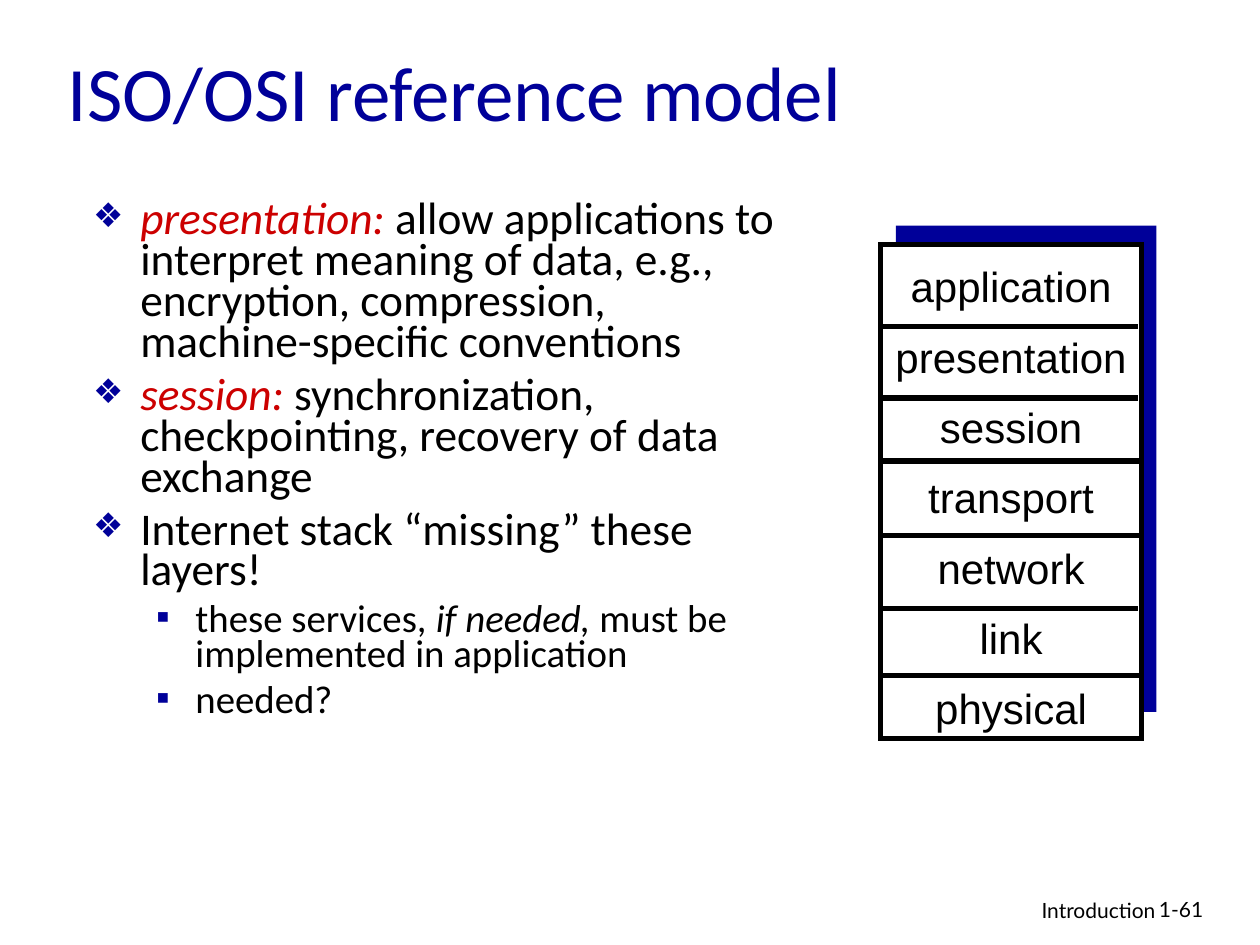
from dataclasses import dataclass

from lxml import etree
from pptx import Presentation
from pptx.dml.color import RGBColor
from pptx.enum.shapes import MSO_CONNECTOR, MSO_SHAPE
from pptx.enum.text import MSO_ANCHOR, PP_ALIGN
from pptx.oxml.ns import qn
from pptx.util import Pt

LEFT, CENTER, RIGHT = PP_ALIGN.LEFT, PP_ALIGN.CENTER, PP_ALIGN.RIGHT
TOP, MIDDLE = MSO_ANCHOR.TOP, MSO_ANCHOR.MIDDLE
RECTANGLE, STRAIGHT = MSO_SHAPE.RECTANGLE, MSO_CONNECTOR.STRAIGHT


@dataclass(frozen=True)
class Theme:
    navy: str = "000099"
    red: str = "CC0000"
    black: str = "000000"
    white: str = "FFFFFF"
    text_font: str = "Calibri"
    layer_font: str = "Arial"
    footer_font: str = "Lato"
    title_size: float = 44
    body_size: float = 25.9
    detail_size: float = 22.2
    layer_size: float = 24
    footer_size: float = 12
    rule_width: float = 3


@dataclass(frozen=True)
class BulletLevel:
    symbol: str
    symbol_percent: int
    margin: float
    indent: float
    text_size: float
    space_before: float


THEME = Theme()
LEVELS = (
    BulletLevel("❖", 75, 27, -27, THEME.body_size, 7),
    BulletLevel("▪", 100, 58.5, -22.5, THEME.detail_size, 6),
)
BULLETS = (
    (0, (("presentation:", THEME.red, True),
         (" allow applications to interpret meaning of data, e.g., encryption, "
          "compression, machine-specific conventions", THEME.black, False))),
    (0, (("session:", THEME.red, True),
         (" synchronization, checkpointing, recovery of data exchange", THEME.black, False))),
    (0, (("Internet stack “missing” these layers!", THEME.black, False),)),
    (1, (("these services, ", THEME.black, False),
         ("if needed,", THEME.black, True),
         (" must be implemented in application", THEME.black, False))),
    (1, (("needed?", THEME.black, False),)),
)
LAYERS = ("application", "presentation", "session", "transport",
          "network", "link", "physical")
DIVIDERS = ((-1.4, 46.8), (-1.4, 87.8), (-0.7, 123.8),
            (-0.7, 166.3), (-1.4, 208.1), (-0.7, 246.2))


def add_text_frame(slide, box, anchor=TOP):
    frame = slide.shapes.add_textbox(*map(Pt, box)).text_frame
    frame.word_wrap = True
    frame.vertical_anchor = anchor
    return frame


def add_run(paragraph, text, font, size, color, italic=False):
    run = paragraph.add_run()
    run.text = text
    run.font.name = font
    run.font.size = Pt(size)
    run.font.italic = italic
    run.font.color.rgb = RGBColor.from_string(color)


def next_paragraph(frame, index):
    return frame.add_paragraph() if index else frame.paragraphs[0]


def set_bullet(paragraph, level):
    properties = paragraph._p.get_or_add_pPr()
    properties.set("marL", str(Pt(level.margin)))
    properties.set("indent", str(Pt(level.indent)))
    color = etree.SubElement(properties, qn("a:buClr"))
    etree.SubElement(color, qn("a:srgbClr"), val=THEME.navy)
    etree.SubElement(properties, qn("a:buSzPct"), val=str(level.symbol_percent * 1000))
    etree.SubElement(properties, qn("a:buFont"), typeface=THEME.layer_font)
    etree.SubElement(properties, qn("a:buChar"), char=level.symbol)


def add_label(slide, box, text, font, size, color, alignment=LEFT, anchor=TOP):
    paragraph = add_text_frame(slide, box, anchor).paragraphs[0]
    paragraph.alignment = alignment
    add_run(paragraph, text, font, size, color)


def add_bullets(slide, box):
    frame = add_text_frame(slide, box)
    for index, (depth, runs) in enumerate(BULLETS):
        level = LEVELS[depth]
        paragraph = next_paragraph(frame, index)
        paragraph.level = depth
        set_bullet(paragraph, level)
        paragraph.line_spacing = 0.75
        paragraph.space_before = Pt(level.space_before if index else 0)
        for text, color, italic in runs:
            add_run(paragraph, text, THEME.text_font, level.text_size, color, italic)


def add_rectangle(slide, box, fill):
    shape = slide.shapes.add_shape(RECTANGLE, *map(Pt, box))
    shape.shadow.inherit = False
    shape.fill.solid()
    shape.fill.fore_color.rgb = RGBColor.from_string(fill)
    shape.line.fill.background()
    return shape


def set_rule(line):
    line.color.rgb = RGBColor.from_string(THEME.black)
    line.width = Pt(THEME.rule_width)


def add_divider(slide, left, top, width):
    connector = slide.shapes.add_connector(
        STRAIGHT, Pt(left), Pt(top), Pt(left + width), Pt(top))
    set_rule(connector.line)
    etree.SubElement(connector._element.spPr, qn("a:effectLst"))


def add_layer_stack(slide, box):
    left, top, width, height = box
    add_rectangle(slide, (left + 8.6, top - 10.8, width, height - 4.3), THEME.navy)
    frame_line = add_rectangle(slide, box, THEME.white).line
    set_rule(frame_line)
    etree.SubElement(frame_line._get_or_add_ln(), qn("a:miter"), lim="800000")
    frame = add_text_frame(slide, (left - 3.6, top + 13.7, width + 7.2, height - 12.9))
    for index, layer in enumerate(LAYERS):
        paragraph = next_paragraph(frame, index)
        paragraph.alignment = CENTER
        paragraph.line_spacing = 0.7
        paragraph.space_before = Pt(20 if index else 0)
        add_run(paragraph, layer, THEME.layer_font, THEME.layer_size, THEME.black)
    for shift, offset in DIVIDERS:
        add_divider(slide, left + shift, top + offset, width - 0.4)


def add_footer(slide, box):
    left, top, width, height = box
    style = (THEME.footer_font, THEME.footer_size, THEME.black)
    add_label(slide, (left, top, 228.2, height), "Introduction", *style, RIGHT)
    add_label(slide, (left + width - 53.3, top - 0.4, 53.3, height), "1-61", *style)


def main():
    presentation = Presentation()
    presentation.slide_width, presentation.slide_height = Pt(720), Pt(540)
    slide = presentation.slides.add_slide(presentation.slide_layouts[6])
    add_label(slide, (31.7, 7, 511.9, 90), "ISO/OSI reference model",
              THEME.text_font, THEME.title_size, THEME.navy, anchor=MIDDLE)
    add_bullets(slide, (46.1, 112, 406.1, 365.8))
    add_layer_stack(slide, (503.3, 139.7, 149, 282.2))
    add_footer(slide, (439.2, 509.2, 269.3, 22))
    presentation.save("out.pptx")


if __name__ == "__main__":
    main()
